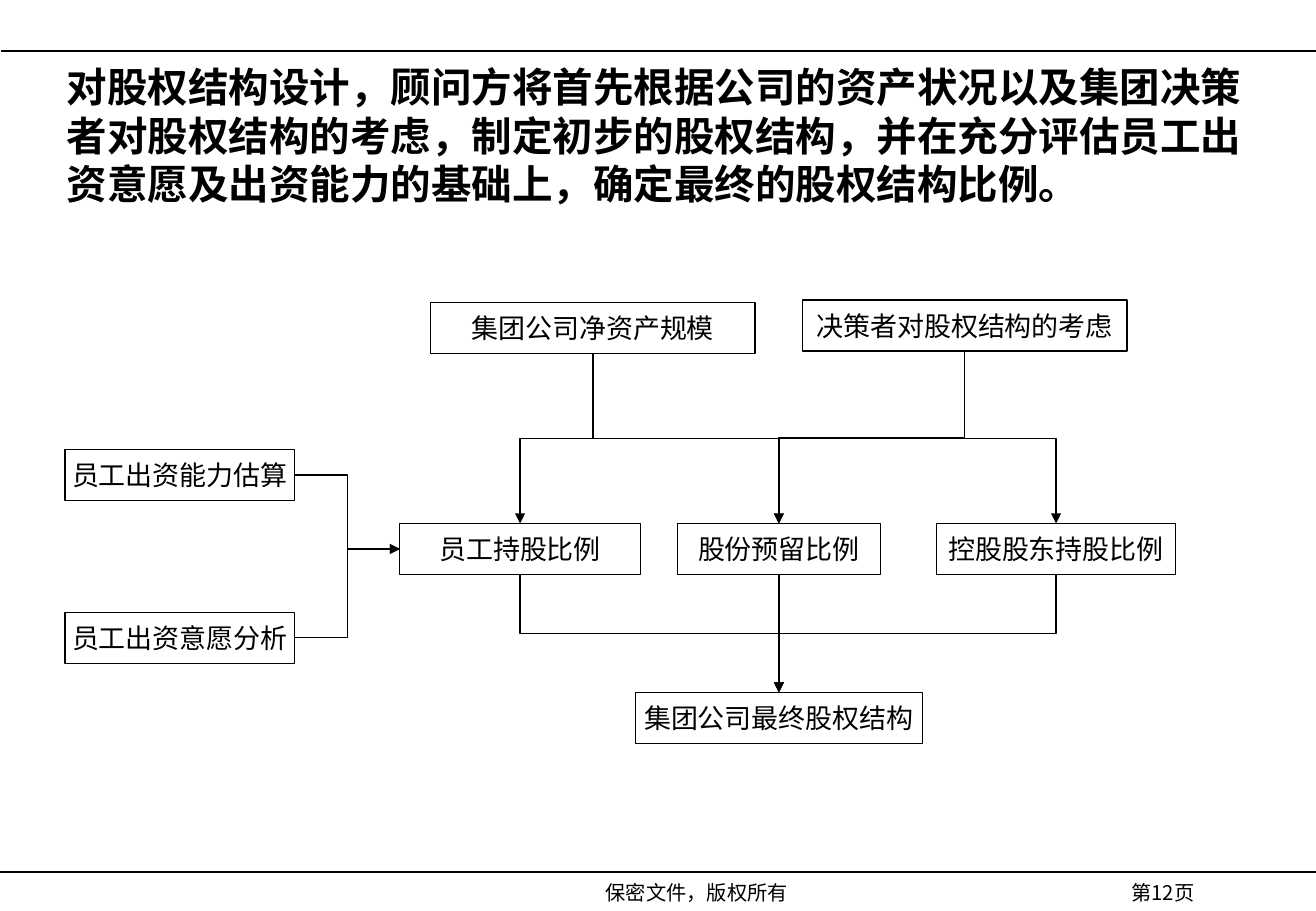
from lxml import etree
from pptx import Presentation
from pptx import util as u
from pptx.dml.color import RGBColor
from pptx.enum import shapes, text
from pptx.oxml.ns import qn

COLORS = {"ink": "000000", "paper": "FFFFFF"}
CJK_FONT = "Noto Sans CJK SC"
TITLE = ("对股权结构设计，顾问方将首先根据公司的资产状况以及集团决策者对股权结构的考虑，"
         "制定初步的股权结构，并在充分评估员工出资意愿及出资能力的基础上，确定最终的股权结构比例。")
FOOTERS = [
    ("第12页", 8.76, 1.62, CJK_FONT),
    ("保密文件，版权所有", 2.8, 5.87, "Times New Roman"),
]
RULES = [(0, 10.83, 7.18), (0.01, 10.83, 0.42)]
BOX_H = 0.42
BOXES = {
    "assets": ("集团公司净资产规模", 4.88, 2.49, 2.67),
    "decision": ("决策者对股权结构的考虑", 7.94, 2.47, 2.67),
    "staff": ("员工持股比例", 4.28, 4.31, 1.98),
    "reserve": ("股份预留比例", 6.41, 4.31, 1.67),
    "holder": ("控股股东持股比例", 8.69, 4.31, 1.97),
    "ability": ("员工出资能力估算", 1.48, 3.7, 1.89),
    "willing": ("员工出资意愿分析", 1.48, 5.04, 1.89),
    "final": ("集团公司最终股权结构", 6.41, 5.7, 2.36),
}
DOWN_LINKS = [
    ("assets", "staff"), ("assets", "reserve"), ("assets", "holder"),
    ("decision", "reserve"), ("staff", "final"), ("holder", "final"),
]
SIDE_LINKS = [("ability", "staff"), ("willing", "staff")]

prs = Presentation()
prs.slide_width, prs.slide_height = u.Inches(10.83), u.Inches(7.5)
s = prs.slides.add_slide(prs.slide_layouts[6])


def rgb(name):
    return RGBColor.from_string(COLORS[name])


def write(sp, words, size, font, align, bold=False, wrap=True):
    tf = sp.text_frame
    tf.word_wrap = wrap
    tf.vertical_anchor = text.MSO_ANCHOR.MIDDLE
    p = tf.paragraphs[0]
    p.alignment = align
    r = p.add_run()
    r.text = words
    r.font.size, r.font.name, r.font.bold = u.Pt(size), font, bold
    r.font.color.rgb = rgb("ink")
    ea = etree.SubElement(r.font._element, qn("a:ea"))
    ea.set("typeface", CJK_FONT)
    return p


def add_textbox(x, y, w, h):
    return s.shapes.add_textbox(*map(u.Inches, (x, y, w, h)))


def add_line(kind, x1, y1, x2, y2, arrow=True):
    c = s.shapes.add_connector(kind, *map(u.Inches, (x1, y1, x2, y2)))
    c.line.color.rgb = rgb("ink")
    c.line.width = u.Pt(0.75)
    if arrow:
        tail = etree.SubElement(c.line._get_or_add_ln(), qn("a:tailEnd"))
        tail.set("type", "triangle")
    etree.SubElement(c._element.spPr, qn("a:effectLst"))
    return c


def link_down(start, end):
    x1, y1 = BOXES[start][1], BOXES[start][2] + BOX_H
    x2, y2 = BOXES[end][1:3]
    w, h = y2 - y1, abs(x2 - x1)
    left, top = (x1 + x2 - w) / 2, (y1 + y2 - h) / 2
    c = add_line(shapes.MSO_CONNECTOR.ELBOW, left, top, left + w, top + h)
    xfrm = c._element.spPr.find(qn("a:xfrm"))
    if x2 > x1:
        xfrm.set("rot", "16200000")
        xfrm.set("flipH", "1")
    else:
        xfrm.set("rot", "5400000")


def link_side(start, end):
    _, x1, y1, w1 = BOXES[start]
    _, x2, y2, w2 = BOXES[end]
    add_line(shapes.MSO_CONNECTOR.ELBOW, x1 + w1 / 2, y1 + BOX_H / 2,
             x2 - w2 / 2, y2 + BOX_H / 2)


for x1, x2, y in RULES:
    add_line(shapes.MSO_CONNECTOR.STRAIGHT, x1, y, x2, y, arrow=False)

for words, x, w, font in FOOTERS:
    write(add_textbox(x, 7.2, w, 0.3), words, 12, font, text.PP_ALIGN.CENTER)

title = write(add_textbox(0.45, 0.52, 9.92, 1.18), TITLE, 24,
              "Times New Roman", text.PP_ALIGN.LEFT, bold=True)
title.line_spacing = u.Pt(28.8)

nodes = {}
for key, (words, cx, y, w) in BOXES.items():
    sp = s.shapes.add_shape(shapes.MSO_SHAPE.RECTANGLE,
                            *map(u.Inches, (cx - w / 2, y, w, BOX_H)))
    sp.shadow.inherit = False
    sp.fill.solid()
    sp.fill.fore_color.rgb = rgb("paper")
    sp.line.color.rgb = rgb("ink")
    sp.line.width = u.Pt(0.75)
    write(sp, words, 16, "Arial", text.PP_ALIGN.CENTER, wrap=False)
    nodes[key] = sp

for start, end in DOWN_LINKS:
    link_down(start, end)
for start, end in SIDE_LINKS:
    link_side(start, end)

_, cx, y, _ = BOXES["reserve"]
c = add_line(shapes.MSO_CONNECTOR.STRAIGHT, cx, y + BOX_H, cx, BOXES["final"][2])
c.begin_connect(nodes["reserve"], 2)
c.end_connect(nodes["final"], 0)

prs.save("out.pptx")
